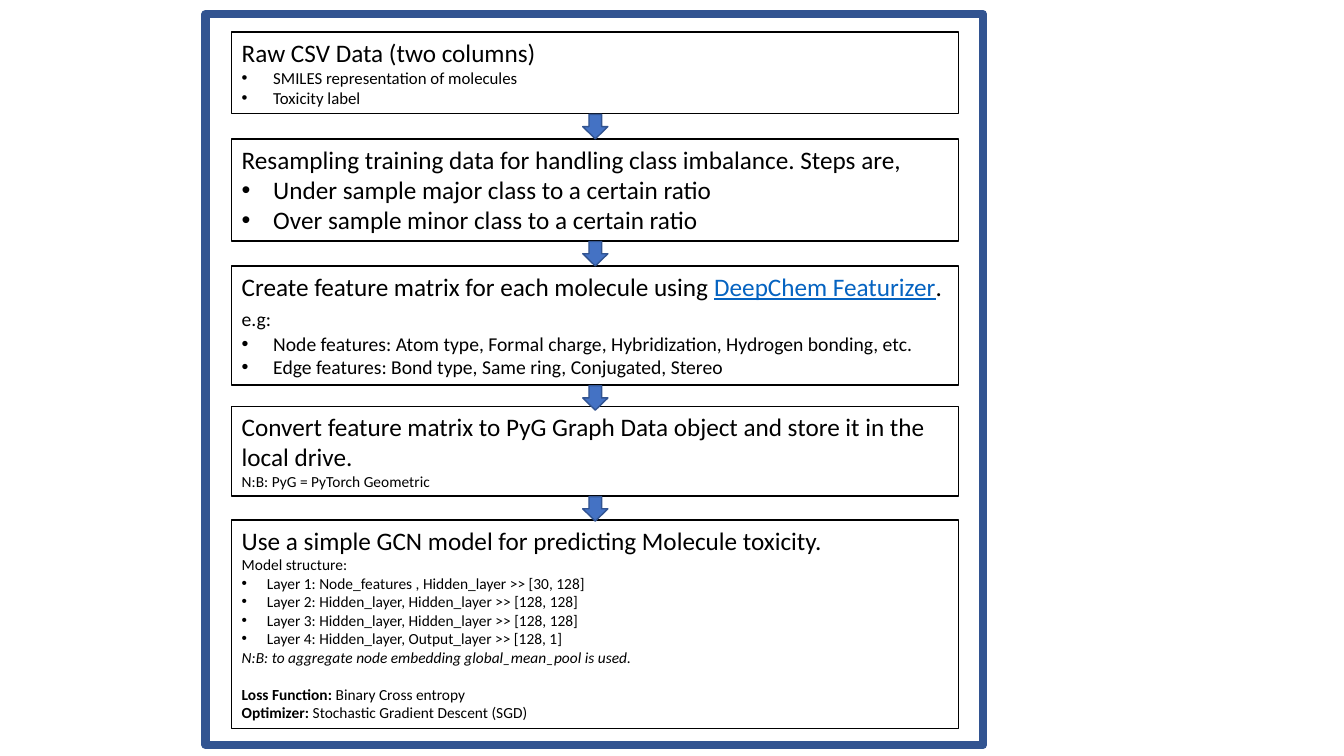
"""Build a one-slide flow chart of a molecule toxicity pipeline."""
from dataclasses import dataclass
from lxml.etree import SubElement
from pptx import Presentation
from pptx.dml.color import RGBColor
from pptx.enum.shapes import MSO_SHAPE
from pptx.enum.text import MSO_ANCHOR, PP_ALIGN
from pptx.oxml.ns import qn
from pptx.util import Pt

COLORS = {"text": "000000", "paper": "FFFFFF", "frame": "325491",
          "arrow": "4472C4", "reference": "0563C1"}
HEADING, NOTE = 18, 11


@dataclass
class Line:
    """One paragraph: runs are (text, style) pairs."""
    runs: list
    size: float = HEADING
    indent: float = 0
    before: float = 0
    after: float = 0
    italic: bool = False


def plain(text, size=HEADING, **options):
    """Return a line made of a single unstyled run."""
    return Line([(text, "")], size, **options)


def bullets(texts, size, indent=22.5):
    """Return one bulleted line for each text."""
    return [plain(text, size, indent=indent) for text in texts]


class FlowChart:
    """Holds the style and the current slide."""

    def __init__(self, slide, font="Calibri"):
        self.slide = slide
        self.font = font

    def color(self, name):
        """Return a named colour."""
        return RGBColor.from_string(COLORS[name])

    def shape(self, kind, left, top, width, height, fill, line, weight=1):
        """Add a preset shape without shadow."""
        shape = self.slide.shapes.add_shape(kind, Pt(left), Pt(top), Pt(width), Pt(height))
        shape.shadow.inherit = False
        if fill:
            shape.fill.solid()
            shape.fill.fore_color.rgb = self.color(fill)
        else:
            shape.fill.background()
        shape.line.color.rgb = self.color(line)
        shape.line.width = Pt(weight)
        return shape

    def box(self, left, top, width, height, lines):
        """Add a step box with its text."""
        frame = self.shape(MSO_SHAPE.RECTANGLE, left, top, width, height,
                           "paper", "text").text_frame
        frame.word_wrap = True
        frame.vertical_anchor = MSO_ANCHOR.TOP
        for index, line in enumerate(lines):
            paragraph = frame.add_paragraph() if index else frame.paragraphs[0]
            self.fill_paragraph(paragraph, line)

    def fill_paragraph(self, paragraph, line):
        """Fill a paragraph from a line."""
        paragraph.alignment = PP_ALIGN.LEFT
        paragraph.space_before = Pt(line.before)
        paragraph.space_after = Pt(line.after)
        if line.indent:
            self.bullet(paragraph, line.indent)
        for text, style in line.runs:
            run = paragraph.add_run()
            run.text = text
            run.font.size = Pt(line.size)
            run.font.name = self.font
            run.font.italic = line.italic
            run.font.color.rgb = self.color("reference" if style == "reference" else "text")
            run.font.bold = style == "bold"
            run.font.underline = style == "reference"

    def bullet(self, paragraph, indent):
        """Give a paragraph a hanging round bullet."""
        properties = paragraph._p.get_or_add_pPr()
        properties.set("marL", str(Pt(indent)))
        properties.set("indent", str(-Pt(indent)))
        SubElement(properties, qn("a:buFont"), typeface="Arial")
        SubElement(properties, qn("a:buChar"), char="•")

    def arrow(self, center, top, width=18, height=17.5):
        """Add a down arrow centred on a vertical line."""
        self.shape(MSO_SHAPE.DOWN_ARROW, center - width / 2, top, width, height,
                   "arrow", "frame")


LEFT, WIDTH = 165.6, 519.2
STEPS = [
    (23, 58.3, [
        plain("Raw CSV Data (two columns)"),
        *bullets(["SMILES representation of molecules", "Toxicity label"], 12)]),
    (99.4, 72.7, [
        plain("Resampling training data for handling class imbalance. Steps are,"),
        *bullets(["Under sample major class to a certain ratio",
                  "Over sample minor class to a certain ratio"], HEADING)]),
    (190.1, 85, [
        Line([("Create feature matrix for each molecule using ", ""),
              ("DeepChem Featurizer", "reference"), (".", "")]),
        plain("e.g:", 14, before=4, after=1),
        *bullets(["Node features: Atom type, Formal charge, Hybridization, "
                  "Hydrogen bonding, etc.",
                  "Edge features: Bond type, Same ring, Conjugated, Stereo"], 14)]),
    (290.2, 64.1, [
        plain("Convert feature matrix to PyG Graph Data object and store it "
              "in the local drive."),
        plain("N:B: PyG = PyTorch Geometric", NOTE)]),
    (371.5, 149, [
        plain("Use a simple GCN model for predicting Molecule toxicity."),
        plain("Model structure:", NOTE),
        *bullets(["Layer 1: Node_features , Hidden_layer >> [30, 128]",
                  "Layer 2: Hidden_layer, Hidden_layer >> [128, 128]",
                  "Layer 3: Hidden_layer, Hidden_layer >> [128, 128]",
                  "Layer 4: Hidden_layer, Output_layer >> [128, 1]"], NOTE, 18),
        plain("N:B: to aggregate node embedding global_mean_pool is used.",
              NOTE, italic=True),
        Line([("Loss Function:", "bold"), (" Binary Cross entropy", "")],
             NOTE, before=13.4),
        Line([("Optimizer: ", "bold"), ("Stochastic Gradient Descent (SGD)", "")], NOTE)]),
]

presentation = Presentation()
presentation.slide_width, presentation.slide_height = Pt(960), Pt(540)
chart = FlowChart(presentation.slides.add_slide(presentation.slide_layouts[6]))
for top, height, lines in STEPS:
    chart.box(LEFT, top, WIDTH, height, lines)
chart.shape(MSO_SHAPE.RECTANGLE, 146.9, 10.1, 555.1, 522, None, "frame", 6)
for top, height, lines in STEPS[:-1]:
    chart.arrow(LEFT + WIDTH / 2, top + height + 0.4)
presentation.save("out.pptx")
